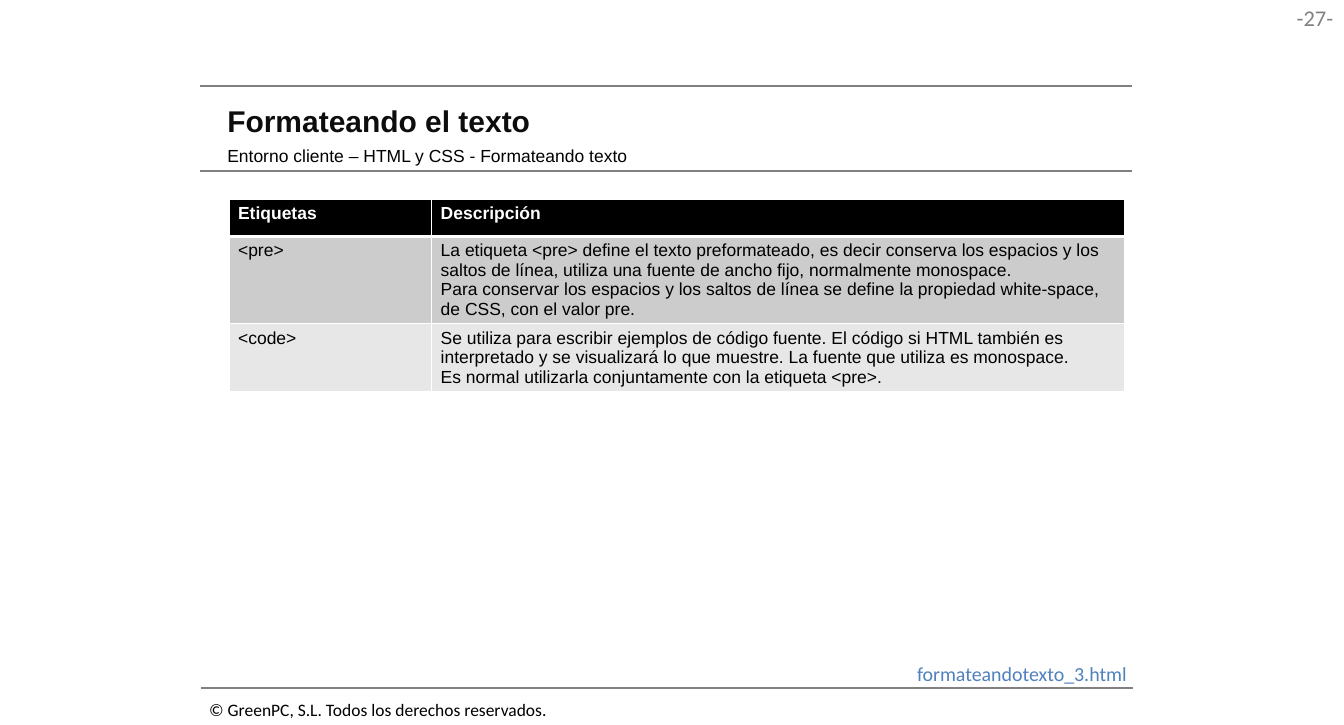
"""Build the slide about preformatted text and code tags."""
from dataclasses import dataclass
from typing import Any

import lxml.etree
import pptx
import pptx.dml.color
import pptx.enum.shapes
import pptx.enum.text
import pptx.oxml.ns
import pptx.util

Pt = pptx.util.Pt
Align = pptx.enum.text.PP_ALIGN
Anchor = pptx.enum.text.MSO_ANCHOR
AutoSize = pptx.enum.text.MSO_AUTO_SIZE

COLOURS = {
    "black": "000000", "title": "0D0D0D", "grey": "808080", "white": "FFFFFF",
    "link": "4F81BD", "dark band": "CCCCCC", "light band": "E7E7E7",
}


@dataclass(frozen=True)
class Style:
    font: str
    size: float
    colour: str
    bold: bool = False
    alignment: Any = Align.LEFT


@dataclass(frozen=True)
class Label:
    text: str
    box: tuple[float, float, float, float]
    style: Style
    margins: tuple[float, float] = (7.2, 3.6)
    anchor: Any = Anchor.TOP
    wrap: bool = False


@dataclass(frozen=True)
class Row:
    cells: tuple[str, str]
    height: float
    fill: str
    style: Style
    bottom_border: float = 1


CELL_STYLE = Style("Arial", 14, "black")
HEADER_STYLE = Style("Arial", 14, "white", True)

TITLE = Label("Formateando el texto", (172.8, 77.04, 728.64, 38.88),
              Style("Arial", 24, "title", True), (9.36, 5.04), Anchor.MIDDLE, True)
SUBTITLE = Label("Entorno cliente – HTML y CSS - Formateando texto",
                 (172.8, 111.6, 694.8, 26.64), CELL_STYLE, (9.36, 5.04), Anchor.MIDDLE, True)
LABELS = [
    Label("-27-", (1017.36, 0, 59.04, 29.52),
          Style("Calibri", 18, "grey", alignment=Align.RIGHT), (7.92, 3.6)),
    Label("© GreenPC, S.L. Todos los derechos reservados.",
          (160.56, 556.56, 287.28, 24.48), Style("Calibri", 14, "black")),
    Label("formateandotexto_3.html", (727.92, 527.04, 185.04, 26.64),
          Style("Calibri", 16, "link")),
]
RULES = [(160.56, 69.12), (160.56, 136.8), (161.28, 551.52)]
RULE_LENGTH = 746.64
TABLE_ORIGIN = (183.6, 159.84)
COLUMN_WIDTHS = (162.4, 555.6)
ROWS = [
    Row(("Etiquetas", "Descripción"), 29.5, "black", HEADER_STYLE, 3),
    Row(("<pre>",
         "La etiqueta <pre> define el texto preformateado, es decir conserva los espacios "
         "y los saltos de línea, utiliza una fuente de ancho fijo, normalmente monospace.\n"
         "Para conservar los espacios y los saltos de línea se define la propiedad "
         "white-space, de CSS, con el valor pre."), 69.7, "dark band", CELL_STYLE),
    Row(("<code>",
         "Se utiliza para escribir ejemplos de código fuente. El código si HTML también es "
         "interpretado y se visualizará lo que muestre. La fuente que utiliza es monospace.\n"
         "Es normal utilizarla conjuntamente con la etiqueta <pre>."),
        54.1, "light band", CELL_STYLE),
]


def rgb(name: str) -> pptx.dml.color.RGBColor:
    return pptx.dml.color.RGBColor.from_string(COLOURS[name])


def apply_format(target: Any, values: dict[str, Any]) -> None:
    for name, value in values.items():
        setattr(target, name, value)


def write_text(frame: Any, text: str, style: Style) -> None:
    frame.text = text
    for paragraph in frame.paragraphs:
        apply_format(paragraph, {"alignment": style.alignment, "space_before": Pt(0)})
        apply_format(paragraph.font,
                     {"name": style.font, "size": Pt(style.size), "bold": style.bold})
        paragraph.font.color.rgb = rgb(style.colour)


def fill_label(shape: Any, label: Label) -> None:
    left, top, width, height = map(Pt, label.box)
    apply_format(shape, {"left": left, "top": top, "width": width, "height": height})
    horizontal, vertical = map(Pt, label.margins)
    apply_format(shape.text_frame, {
        "margin_left": horizontal, "margin_right": horizontal,
        "margin_top": vertical, "margin_bottom": vertical,
        "vertical_anchor": label.anchor, "word_wrap": label.wrap,
        "auto_size": AutoSize.NONE if label.wrap else AutoSize.SHAPE_TO_FIT_TEXT,
    })
    write_text(shape.text_frame, label.text, label.style)


def remove_bullet(paragraph: Any) -> None:
    properties = paragraph._p.get_or_add_pPr()
    properties.set("marL", "0")
    properties.set("indent", "0")
    lxml.etree.SubElement(properties, pptx.oxml.ns.qn("a:buNone"))


def draw_rule(slide: Any, left: float, top: float) -> None:
    rule = slide.shapes.add_connector(
        pptx.enum.shapes.MSO_CONNECTOR.STRAIGHT,
        Pt(left), Pt(top), Pt(left + RULE_LENGTH), Pt(top))
    rule.line.color.rgb = rgb("grey")
    rule.line.width = Pt(1.5)
    lxml.etree.SubElement(rule._element.spPr, pptx.oxml.ns.qn("a:effectLst"))


def draw_border(cell: Any, side: str, width: float) -> None:
    qualified = pptx.oxml.ns.qn
    line = lxml.etree.SubElement(cell._tc.get_or_add_tcPr(), qualified(f"a:ln{side}"),
                                 w=str(int(Pt(width))))
    fill = lxml.etree.SubElement(line, qualified("a:solidFill"))
    lxml.etree.SubElement(fill, qualified("a:srgbClr"), val=COLOURS["white"])


def draw_table(slide: Any) -> None:
    left, top = map(Pt, TABLE_ORIGIN)
    table = slide.shapes.add_table(
        len(ROWS), len(COLUMN_WIDTHS), left, top,
        Pt(sum(COLUMN_WIDTHS)), Pt(sum(row.height for row in ROWS))).table
    for column, width in zip(table.columns, COLUMN_WIDTHS):
        column.width = Pt(width)
    top_border = 1.0
    for index, row in enumerate(ROWS):
        table.rows[index].height = Pt(row.height)
        borders = {"L": 1, "R": 1, "T": top_border, "B": row.bottom_border}
        for cell, text in zip(table.rows[index].cells, row.cells):
            write_text(cell.text_frame, text, row.style)
            for side, width in borders.items():
                draw_border(cell, side, width)
            cell.fill.solid()
            cell.fill.fore_color.rgb = rgb(row.fill)
        top_border = row.bottom_border


def main() -> None:
    presentation = pptx.Presentation()
    apply_format(presentation, {"slide_width": Pt(1077.12), "slide_height": Pt(581.04)})
    slide = presentation.slides.add_slide(presentation.slide_layouts[1])
    slide.background.fill.solid()
    slide.background.fill.fore_color.rgb = rgb("white")
    for left, top in RULES:
        draw_rule(slide, left, top)
    fill_label(slide.shapes.title, TITLE)
    body = slide.placeholders[1]
    fill_label(body, SUBTITLE)
    remove_bullet(body.text_frame.paragraphs[0])
    draw_table(slide)
    for label in LABELS:
        fill_label(slide.shapes.add_textbox(*map(Pt, label.box)), label)
    presentation.save("out.pptx")


if __name__ == "__main__":
    main()
